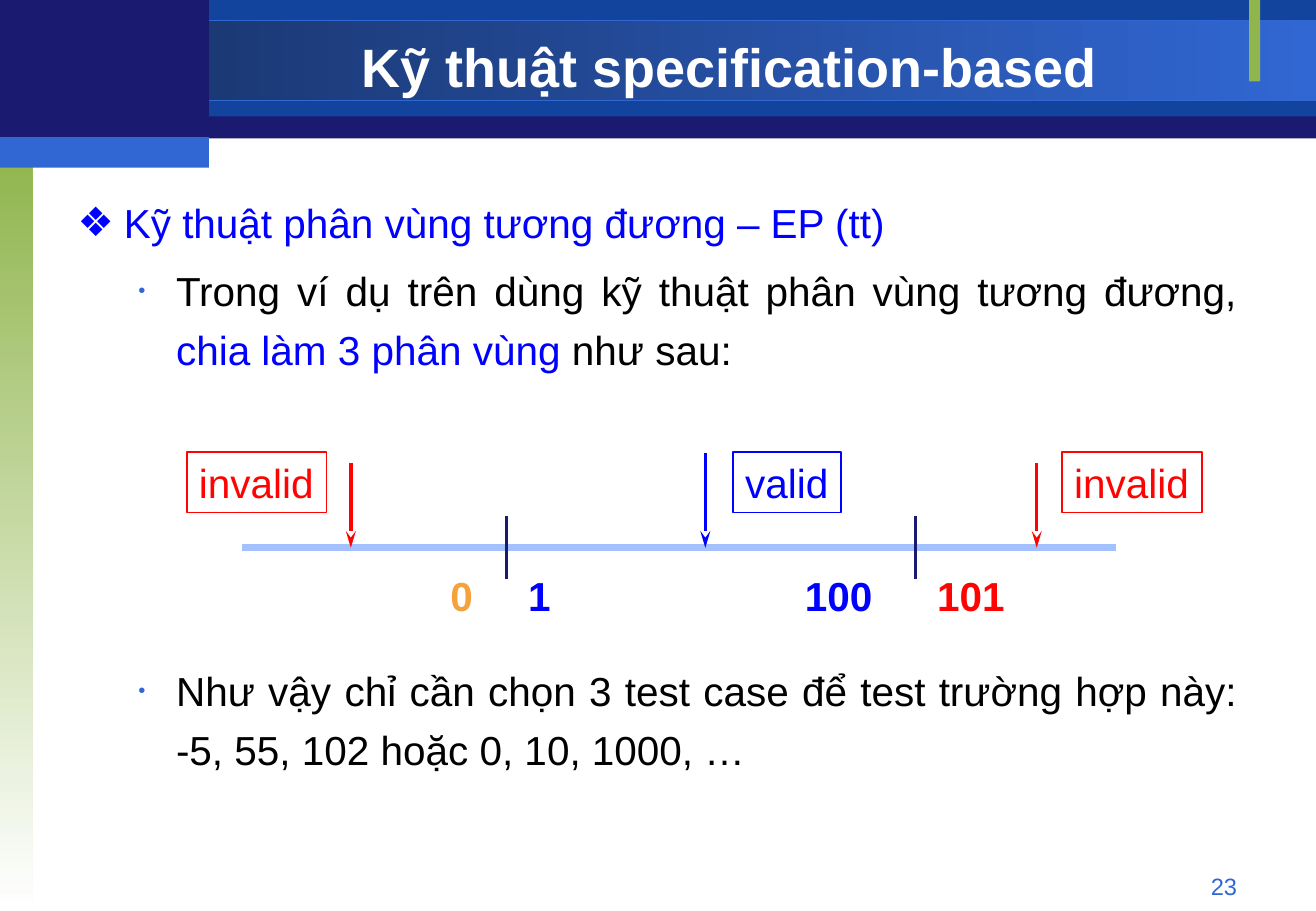
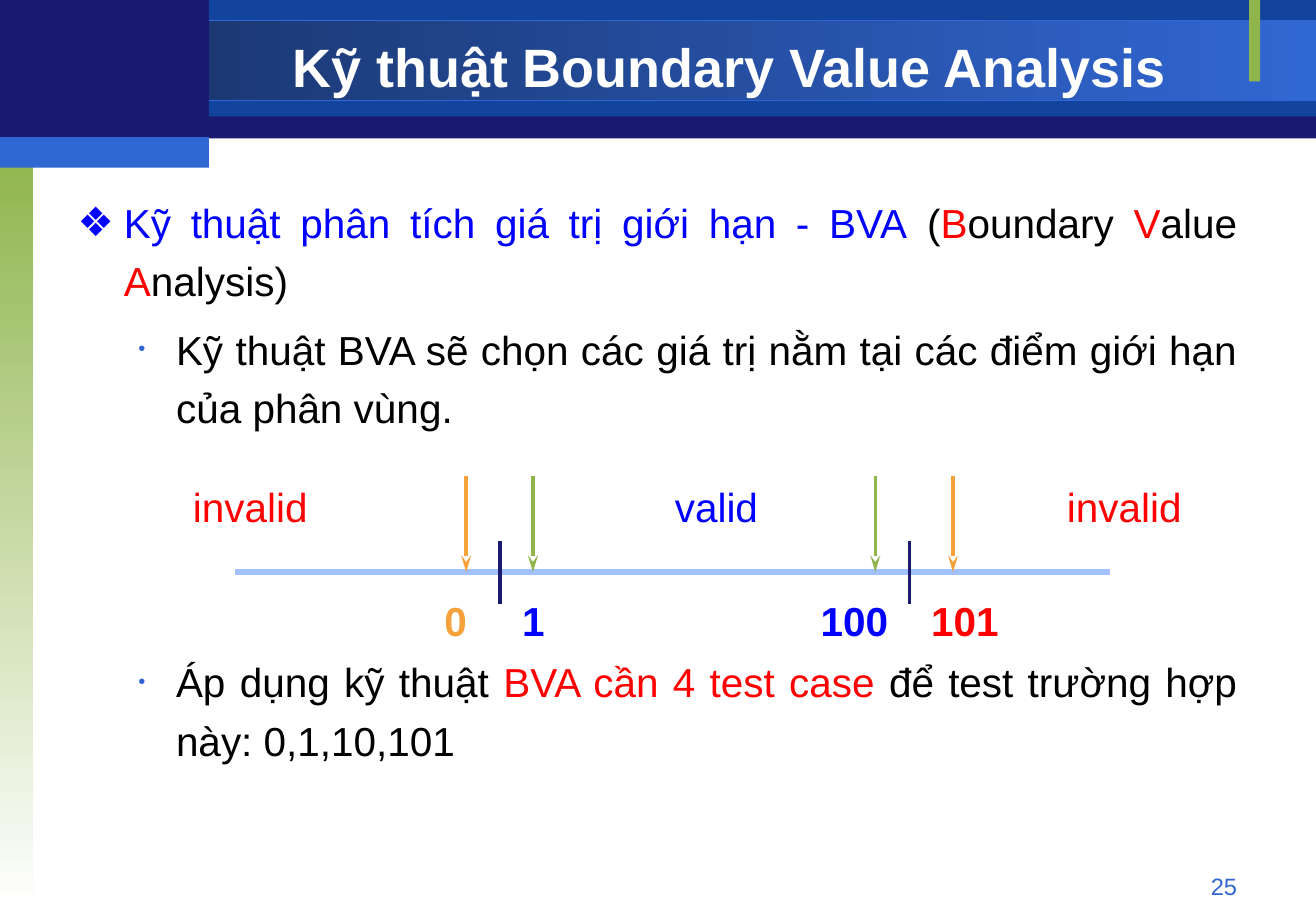
from dataclasses import dataclass

from lxml.etree import SubElement
from pptx import Presentation
from pptx.dml.color import RGBColor
from pptx.enum.shapes import MSO_CONNECTOR, MSO_SHAPE
from pptx.enum.text import MSO_ANCHOR, MSO_AUTO_SIZE, PP_ALIGN
from pptx.oxml.ns import qn
from pptx.util import Inches, Pt


@dataclass(frozen=True)
class Theme:
    font: str = "Arial"
    title_size: int = 32
    text_size: int = 24
    number_size: int = 14
    white: str = "FFFFFF"
    black: str = "000000"
    navy: str = "1A1A70"
    royal: str = "12449E"
    deep: str = "173062"
    sky: str = "3167D3"
    pale: str = "A2C1FE"
    green: str = "90B54D"
    orange: str = "F6A23C"
    blue: str = "0000FF"
    red: str = "FF0000"
    scarlet: str = "FF0303"


THEME = Theme()

# Left, top, width, height, fill colours (two make a gradient), angle, outline
BANDS = [
    (0, 0.01, 10.84, 1.13, [THEME.navy], 0, None),
    (1.72, 0, 9.12, 0.96, [THEME.royal], 0, None),
    (0, 0.17, 10.84, 0.66, [THEME.deep, THEME.sky], 0, THEME.sky),
    (0, 1.25, 0.27, 6.25, [THEME.green, THEME.white], 270, None),
    (10.29, 0, 0.09, 0.67, [THEME.green], 0, None),
    (0, 0, 1.72, 1.17, [THEME.navy], 0, None),
    (0, 1.13, 1.72, 0.25, [THEME.sky], 0, None),
]

# Indent, hanging, bullet, bullet colour, bullet size in percent
LEVELS = [
    (0.38, 0.38, "❖", THEME.blue, 100),
    (0.81, 0.31, "•", THEME.sky, 50),
]


def rgb(code):
    return RGBColor.from_string(code)


def place(shape, left, top, width, height):
    shape.left, shape.top = Inches(left), Inches(top)
    shape.width, shape.height = Inches(width), Inches(height)


def format_span(span, size, color, bold=False):
    span.font.name = THEME.font
    span.font.size = Pt(size)
    span.font.bold = bold
    span.font.color.rgb = rgb(color)


# Shared look
def add_band(slide, left, top, width, height, colors, angle, outline):
    band = slide.shapes.add_shape(
        MSO_SHAPE.RECTANGLE, Inches(left), Inches(top), Inches(width), Inches(height))
    band.shadow.inherit = False
    if len(colors) == 1:
        band.fill.solid()
        band.fill.fore_color.rgb = rgb(colors[0])
    else:
        band.fill.gradient()
        band.fill.gradient_angle = angle
        for stop, color in zip(band.fill.gradient_stops, colors):
            stop.color.rgb = rgb(color)
    if outline:
        band.line.color.rgb = rgb(outline)
        band.line.width = Pt(0.75)
    else:
        band.line.fill.background()
    return band


def style_layout(layout, slide):
    """Draw the bands once and move them behind the layout's placeholders."""
    for index, band_values in enumerate(BANDS):
        band = add_band(slide, *band_values)
        band.element.nvSpPr.cNvPr.set("id", str(101 + index))
        layout.shapes.element.insert(2 + index, band.element)
    title, body = layout.placeholders[0], layout.placeholders[1]
    place(title, 1.72, 0.25, 8.58, 0.58)
    place(body, 0.54, 1.5, 9.75, 5.58)


# Text
def add_text(slide, at, text, size, color, bold=False, insets=(0.1, 0.05), wrap=False):
    box = slide.shapes.add_textbox(*(Inches(length) for length in at))
    frame = box.text_frame
    frame.word_wrap = wrap
    frame.auto_size = MSO_AUTO_SIZE.NONE if wrap else MSO_AUTO_SIZE.SHAPE_TO_FIT_TEXT
    frame.margin_left = frame.margin_right = Inches(insets[0])
    frame.margin_top = frame.margin_bottom = Inches(insets[1])
    frame.text = text
    format_span(frame.paragraphs[0].runs[0], size, color, bold)
    return box


def set_title(slide, text):
    frame = slide.shapes.title.text_frame
    frame.text = text
    frame.auto_size = MSO_AUTO_SIZE.NONE
    frame.vertical_anchor = MSO_ANCHOR.MIDDLE
    paragraph = frame.paragraphs[0]
    paragraph.alignment = PP_ALIGN.CENTER
    format_span(paragraph.runs[0], THEME.title_size, THEME.white, bold=True)


def set_bullet(paragraph, level):
    indent, hanging, mark, color, percent = LEVELS[level]
    paragraph.level = level
    properties = paragraph._p.get_or_add_pPr()
    properties.set("marL", str(Inches(indent)))
    properties.set("indent", str(-Inches(hanging)))
    bullet_color = SubElement(properties, qn("a:buClr"))
    SubElement(bullet_color, qn("a:srgbClr"), val=color)
    SubElement(properties, qn("a:buSzPct"), val=str(percent * 1000))
    SubElement(properties, qn("a:buFont"), typeface=THEME.font)
    SubElement(properties, qn("a:buChar"), char=mark)


def fill_body(slide, items):
    """Each item is a level, the space before it and its coloured spans."""
    frame = slide.placeholders[1].text_frame
    frame.auto_size = MSO_AUTO_SIZE.NONE
    for index, (level, space, spans) in enumerate(items):
        paragraph = frame.add_paragraph() if index else frame.paragraphs[0]
        set_bullet(paragraph, level)
        paragraph.alignment = PP_ALIGN.JUSTIFY
        paragraph.line_spacing = 1.2
        paragraph.space_before = Pt(space)
        for text, color in spans:
            span = paragraph.add_run()
            span.text = text
            format_span(span, THEME.text_size, color)


# Number line
def add_line(slide, start, end, color, width, arrow=False):
    line = slide.shapes.add_connector(
        MSO_CONNECTOR.STRAIGHT, *(Inches(length) for length in (*start, *end)))
    line.line.color.rgb = rgb(color)
    line.line.width = Pt(width)
    if arrow:
        SubElement(line.line._get_or_add_ln(), qn("a:tailEnd"), type="stealth", len="lg")
    SubElement(line.element.spPr, qn("a:effectLst"))


def add_number_line(slide, left, axis, hundred_left, last_color):
    add_line(slide, (left, axis), (left + 7.2, axis), THEME.pale, 4)
    for offset in (2.18, 5.55):
        tick = left + offset
        add_line(slide, (tick, axis - 0.26), (tick, axis + 0.26), THEME.navy, 2)
    numbers = [
        ("0", left + 1.65, 0.32, THEME.orange),
        ("1", left + 2.29, 0.32, THEME.blue),
        ("100", hundred_left, 0.7, THEME.blue),
        ("101", left + 5.66, 0.7, last_color),
    ]
    for text, number_left, width, color in numbers:
        box = add_text(slide, (number_left, axis + 0.21, width, 0.42), text,
                       THEME.text_size, color, bold=True, insets=(0.07, 0.03))
        box.text_frame.paragraphs[0].line_spacing = 0.9


def add_arrows(slide, axis, arrows):
    for center, length, color in arrows:
        add_line(slide, (center, axis - length), (center, axis), color, 2, arrow=True)


def add_zones(slide, axis, lefts, invalid_color, framed=False):
    invalid, valid = ("invalid", 1.15, invalid_color), ("valid", 0.89, THEME.blue)
    for left, (text, width, color) in zip(lefts, (invalid, valid, invalid)):
        box = add_text(slide, (left, axis - 0.79, width, 0.5), text,
                       THEME.text_size, color)
        if framed:
            box.line.color.rgb = rgb(color)
            box.line.width = Pt(1)


# Slides
def add_content_slide(deck, title, number, items):
    slide = deck.slides.add_slide(deck.slide_layouts[1])
    set_title(slide, title)
    fill_body(slide, items)
    box = add_text(slide, (7.76, 7.13, 2.53, 0.27), number, THEME.number_size,
                   THEME.sky, wrap=True)
    box.text_frame.paragraphs[0].alignment = PP_ALIGN.RIGHT
    return slide


def add_partition_slide(deck):
    slide = add_content_slide(deck, "Kỹ thuật specification-based", "23", [
        (0, 0, [("Kỹ thuật phân vùng tương đương – EP (tt)", THEME.blue)]),
        (1, 6, [("Trong ví dụ trên dùng kỹ thuật phân vùng tương đương, ", THEME.black),
                ("chia làm 3 phân vùng", THEME.blue),
                (" như sau:", THEME.black)]),
        (1, 168, [("Như vậy chỉ cần chọn 3 test case để test trường hợp này: "
                   "-5, 55, 102 hoặc 0, 10, 1000, …", THEME.black)]),
    ])
    axis = 4.51
    add_number_line(slide, 1.99, axis, 6.56, THEME.scarlet)
    add_arrows(slide, axis, [(2.89, 0.7, THEME.scarlet), (5.81, 0.78, THEME.blue),
                             (8.54, 0.7, THEME.scarlet)])
    add_zones(slide, axis, (1.54, 6.04, 8.75), THEME.scarlet, framed=True)
    return slide


def add_boundary_slide(deck):
    slide = add_content_slide(deck, "Kỹ thuật Boundary Value Analysis", "25", [
        (0, 0, [("Kỹ thuật phân tích giá trị giới hạn - BVA", THEME.blue),
                (" (", THEME.black), ("B", THEME.red), ("oundary ", THEME.black),
                ("V", THEME.red), ("alue ", THEME.black),
                ("A", THEME.red), ("nalysis)", THEME.black)]),
        (1, 6, [("Kỹ thuật BVA sẽ chọn các giá trị nằm tại các điểm giới hạn "
                 "của phân vùng.", THEME.black)]),
        (1, 128, [("Áp dụng kỹ thuật ", THEME.black),
                  ("BVA cần 4 test case", THEME.red),
                  (" để test trường hợp này: 0,1,10,101", THEME.black)]),
    ])
    axis = 4.71
    add_number_line(slide, 1.94, axis, 6.69, THEME.red)
    add_arrows(slide, axis, [(3.84, 0.79, THEME.orange), (4.39, 0.79, THEME.green),
                             (7.21, 0.79, THEME.green), (7.85, 0.79, THEME.orange)])
    add_zones(slide, axis, (1.49, 5.46, 8.69), THEME.red)


def main():
    deck = Presentation()
    deck.slide_width, deck.slide_height = Inches(10.84), Inches(7.5)
    first_slide = add_partition_slide(deck)
    style_layout(deck.slide_layouts[1], first_slide)
    add_boundary_slide(deck)
    deck.save("out.pptx")


if __name__ == "__main__":
    main()
